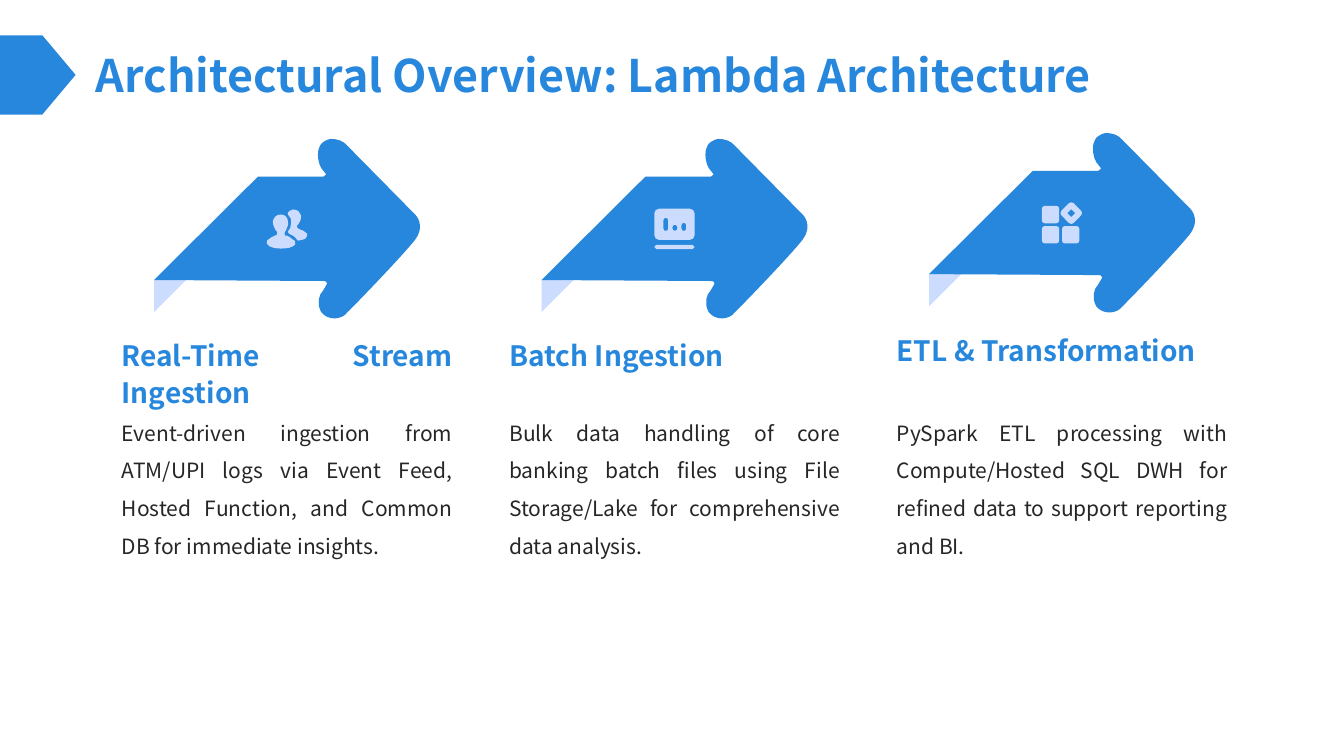
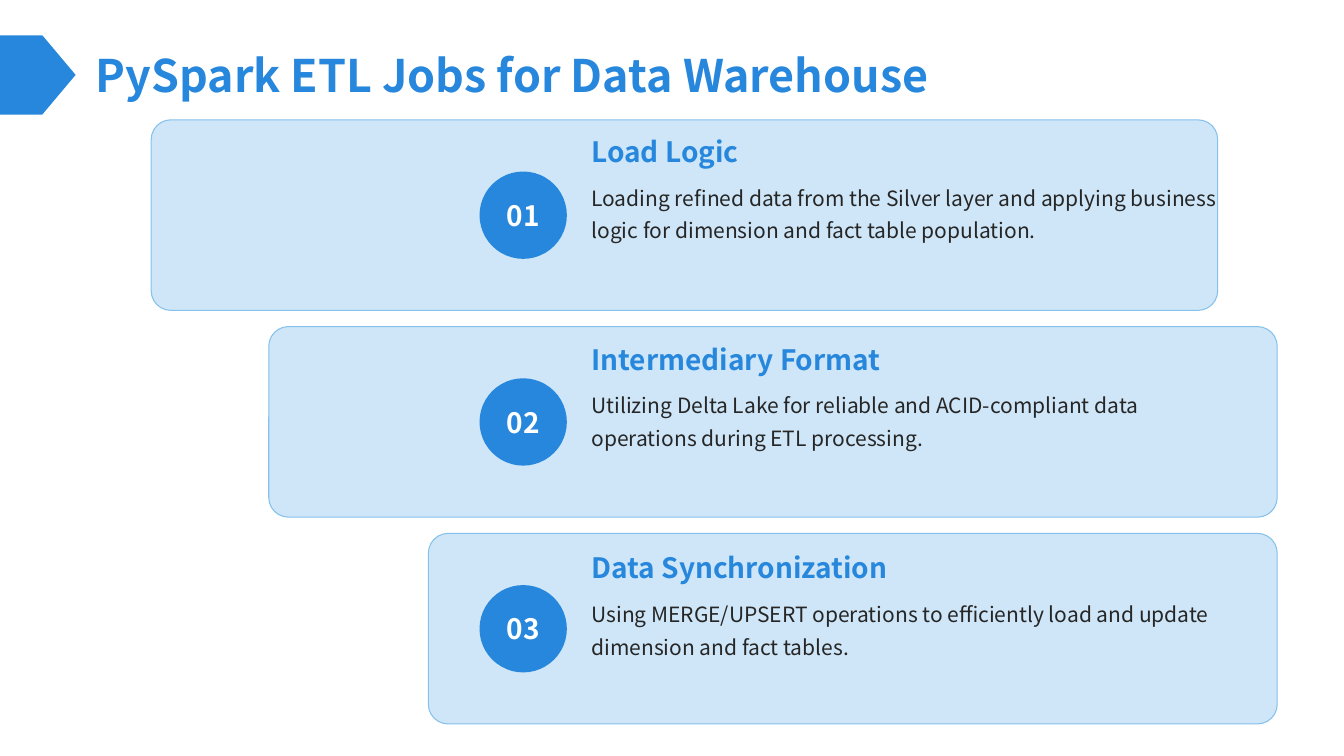
from lxml import etree
from pptx import Presentation
from pptx.dml.color import RGBColor
from pptx.enum import shapes, text
from pptx.oxml import ns
from pptx.util import Pt

FONT = "Noto Sans CJK SC"
BLUE, PALE, INK, WHITE = "2787DC", "CBDCFF", "262626", "FFFFFF"
CARD, CARD_EDGE = "CEE6F7", "85C1EC"
LEFT, CENTER, JUSTIFY = text.PP_ALIGN.LEFT, text.PP_ALIGN.CENTER, text.PP_ALIGN.JUSTIFY
TOP, MIDDLE = text.MSO_ANCHOR.TOP, text.MSO_ANCHOR.MIDDLE
SHAPE = shapes.MSO_SHAPE


def paint(item, color):
    item.fill.solid()
    item.fill.fore_color.rgb = RGBColor.from_string(color)
    if hasattr(item, "shadow"):
        item.shadow.inherit = False
        item.line.fill.background()


def write(box, words, size, color, bold=False, spacing=1.0, align=LEFT, anchor=TOP):
    frame = box.text_frame
    frame.word_wrap = True
    frame.auto_size = text.MSO_AUTO_SIZE.NONE
    frame.vertical_anchor = anchor
    para = frame.paragraphs[0]
    para.text = words
    para.alignment = align
    para.line_spacing = spacing
    para.font.name = FONT
    para.font.size = Pt(size)
    para.font.bold = bold
    paint(para.font, color)


deck = Presentation()
deck.slide_width, deck.slide_height = Pt(960), Pt(540)

pages = []
for heading in ["Architectural Overview: Lambda Architecture", "PySpark ETL Jobs for Data Warehouse"]:
    page = deck.slides.add_slide(deck.slide_layouts[5])
    pages.append(page)
    band = page.shapes.add_shape(SHAPE.PENTAGON, 0, Pt(25.2), Pt(54), Pt(56.6))
    band.adjustments[0] = 0.44
    paint(band, BLUE)
    title = page.shapes.title
    title.left, title.top, title.width, title.height = Pt(61.2), Pt(25), Pt(850.3), Pt(56.6)
    write(title, heading, 32, BLUE, bold=True, anchor=MIDDLE)

overview, jobs = pages

ARROW = [
    (0, 100.8), (74.2, 27), (121, 27),
    (121.7, 27, 122.4, 26.6, 122.4, 25.9), (123.1, 25.9, 123.1, 25.2, 122.4, 24.5),
    (119.5, 20.9), (117.4, 17.3, 116.6, 12.2, 117.4, 7.9),
    (118.1, 5.8, 118.8, 3.6, 121, 2.2), (122.4, 0.7, 124.6, 0.7, 126, 0),
    (131, 0, 135.4, 1.4, 138.2, 5), (186.5, 54), (186.5, 54, 194.4, 61.2, 186.5, 72),
    (179.3, 81.4, 148.3, 113.8, 138.2, 123.8), (136.1, 126.7, 132.5, 128.2, 128.9, 128.2),
    (125.3, 128.2, 121.7, 126.7, 119.5, 123.8), (118.8, 123.1, 118.8, 123.1, 118.8, 122.4),
    (116.6, 117.4, 117.4, 111.6, 121, 108), (123.1, 104.4),
    (123.8, 103.7, 123.8, 103, 123.1, 102.2), (123.1, 102.2, 122.4, 101.5, 121.7, 101.5),
]
FRONT_PERSON = [
    (0, 24.5), (0, 22.3), (0.7, 21.6, 2.2, 20.9, 2.9, 20.2), (3.6, 19.4, 5, 19.4, 5.8, 18.7),
    (6.5, 18.7, 7.2, 18, 7.2, 18), (7.2, 18, 7.9, 16.6, 7.2, 15.8), (6.5, 15.1),
    (5.8, 13.7, 4.3, 11.5, 4.3, 8.6), (5, 5.8, 6.5, 3.6, 10.1, 3.6),
    (13, 3.6, 15.1, 5.8, 15.1, 8.6), (15.8, 10.1, 15.1, 11.5, 14.4, 13),
    (14.4, 13.7, 13.7, 14.4, 13.7, 15.1), (13, 15.8), (12.2, 16.6, 13, 18, 13, 18.7),
    (14.4, 18.7), (15.8, 19.4, 17.3, 20.2, 18.7, 21.6), (19.4, 21.6, 20.2, 22.3, 20.2, 23),
    (20.2, 25.2), (19.4, 26.6, 17.3, 26.6, 15.8, 27.4), (12.2, 28.1, 7.9, 28.1, 5, 27.4),
    (2.9, 26.6, 1.4, 26.6, 0.7, 25.2),
]
BACK_PERSON = [
    (21.6, 21.6), (20.2, 19.4, 18, 18, 15.8, 17.3), (15.1, 16.6, 15.1, 16.6, 15.1, 15.8),
    (16.6, 14.4, 17.3, 12.2, 17.3, 10.1), (18, 7.2, 16.6, 5, 15.1, 3.6), (15.1, 2.2),
    (15.8, 1.4, 17.3, 0, 18.7, 0), (22.3, 0, 23.8, 2.2, 24.5, 4.3),
    (24.5, 7.2, 23.8, 9.4, 22.3, 10.8), (21.6, 11.5), (21.6, 13),
    (22.3, 13.7, 23, 13.7, 23.8, 14.4), (24.5, 14.4, 25.2, 14.4, 25.9, 15.1),
    (26.6, 15.8, 28.1, 16.6, 28.8, 17.3), (28.8, 18, 28.8, 19.4, 28.1, 20.2),
    (27.4, 21.6, 24.5, 21.6, 22.3, 22.3),
]
TILE = [
    (19.4, 0.2), (20.5, -0.6, 21.7, -0.6, 22.7, 0.2), (28.1, 5.8),
    (28.9, 6.7, 28.9, 8, 28.1, 8.9), (22.7, 14.5), (21.7, 15.3, 20.5, 15.3, 19.4, 14.5),
    (13.9, 8.9), (13.1, 8, 13.1, 6.7, 13.9, 5.8),
]
TILE_HOLE = [(21, 4.5), (18.1, 7.4), (21, 10.3), (23.9, 7.4)]

chart_icon, grid_icon = [], [TILE, TILE_HOLE]
rounded_boxes = [
    (chart_icon, 0, 0, 28.8, 22.3, 3.4), (chart_icon, 0, 25.9, 28.8, 2.9, 1.4),
    (chart_icon, 6.5, 6.5, 3.4, 9.4, 1.7), (chart_icon, 13, 11.5, 3.4, 4.3, 1.7),
    (chart_icon, 19.4, 10.1, 3.4, 5.8, 1.7),
    (grid_icon, 0, 2.2, 12.4, 12.4, 2), (grid_icon, 0, 16.6, 12.4, 12.4, 2),
    (grid_icon, 14.4, 16.6, 12.4, 12.4, 2),
]
for icon, x, y, width, height, radius in rounded_boxes:
    right, bottom, bend = x + width, y + height, radius * 0.45
    icon.append([
        (x + radius, y), (right - radius, y),
        (right - bend, y, right, y + bend, right, y + radius), (right, bottom - radius),
        (right, bottom - bend, right - bend, bottom, right - radius, bottom), (x + radius, bottom),
        (x + bend, bottom, x, bottom - bend, x, bottom - radius), (x, y + radius),
        (x, y + bend, x + bend, y, x + radius, y),
    ])

COLUMN_STEP = 276.8
ARROW_LEFT = 110
UNITS = 100
columns = [
    (99.2, 50.4, [BACK_PERSON, FRONT_PERSON]),
    (99.2, 49.9, chart_icon),
    (95, 49.9, grid_icon),
]
for column, (top, icon_drop, icon) in enumerate(columns):
    left = ARROW_LEFT + column * COLUMN_STEP
    fold = overview.shapes.add_shape(SHAPE.RIGHT_TRIANGLE, Pt(left), Pt(top + 100.8), Pt(23), Pt(23))
    fold.rotation = 90
    paint(fold, PALE)
    for contours, x, y, color in [([ARROW], left, top, BLUE), (icon, left + 80.6, top + icon_drop, PALE)]:
        scaled = [[[round(value * UNITS) for value in segment] for segment in contour] for contour in contours]
        builder = overview.shapes.build_freeform(*scaled[0][0], scale=Pt(1) / UNITS)
        for number, contour in enumerate(scaled):
            if number:
                builder.move_to(*contour[0])
            builder.add_line_segments([segment[-2:] for segment in contour[1:]], close=True)
        form = builder.convert_to_shape(Pt(x), Pt(y))
        paint(form, color)

        segments = [segment for contour in scaled for segment in contour]
        min_x = min(segment[-2] for segment in segments)
        min_y = min(segment[-1] for segment in segments)
        outline = form._element.find(".//" + ns.qn("a:path"))
        strokes = [node for node in outline if node.tag != ns.qn("a:close")]
        strokes = [node for node in strokes if node.tag in (ns.qn("a:moveTo"), ns.qn("a:lnTo"))]
        for node, segment in zip(strokes, segments):
            if len(segment) == 6:
                curve = etree.Element(ns.qn("a:cubicBezTo"))
                for px, py in zip(segment[::2], segment[1::2]):
                    etree.SubElement(curve, ns.qn("a:pt"), x=str(px - min_x), y=str(py - min_y))
                outline.replace(node, curve)

stages = [
    ("Real-Time Stream Ingestion", JUSTIFY, 1.1,
     "Event-driven ingestion from ATM/UPI logs via Event Feed, Hosted Function, and Common DB "
     "for immediate insights."),
    ("Batch Ingestion", LEFT, 1.1,
     "Bulk data handling of core banking batch files using File Storage/Lake for comprehensive "
     "data analysis."),
    ("ETL & Transformation", JUSTIFY, 0.99,
     "PySpark ETL processing with Compute/Hosted SQL DWH for refined data to support reporting "
     "and BI."),
]
for column, (heading, align, spacing, detail) in enumerate(stages):
    left = Pt(79.9 + column * COLUMN_STEP)
    box = overview.shapes.add_textbox(left, Pt(235.6), Pt(250.4), Pt(59))
    write(box, heading, 20, BLUE, bold=True, spacing=spacing, align=align)
    box = overview.shapes.add_textbox(left, Pt(287.6), Pt(250.4), Pt(218.2))
    write(box, detail, 15, INK, spacing=1.5, align=JUSTIFY)

steps = [
    (108, 869.8, 86.1, 123.4, "Load Logic",
     "Loading refined data from the Silver layer and applying business logic for dimension and "
     "fact table population."),
    (192, 912.3, 234.3, 271.4, "Intermediary Format",
     "Utilizing Delta Lake for reliable and ACID-compliant data operations during ETL processing."),
    (306, 912.3, 383, 421, "Data Synchronization",
     "Using MERGE/UPSERT operations to efficiently load and update dimension and fact tables."),
]
for row, (left, right, heading_top, detail_top, heading, detail) in enumerate(steps):
    card_top = 85.6 + row * 147.7
    card = jobs.shapes.add_shape(SHAPE.ROUNDED_RECTANGLE, Pt(left), Pt(card_top), Pt(right - left), Pt(136.1))
    card.adjustments[0] = 0.103
    paint(card, CARD)
    paint(card.line, CARD_EDGE)
    card.line.width = Pt(0.75)

    badge = jobs.shapes.add_shape(SHAPE.OVAL, Pt(342.5), Pt(card_top + 36.9), Pt(62.4), Pt(62.4))
    paint(badge, BLUE)
    write(badge, f"{row + 1:02}", 20, WHITE, bold=True, align=CENTER, anchor=MIDDLE)
    frame = badge.text_frame
    frame.word_wrap = False
    frame.margin_left = frame.margin_right = frame.margin_top = frame.margin_bottom = 0

    box = jobs.shapes.add_textbox(Pt(415.4), Pt(detail_top), Pt(481.7), Pt(97.9))
    write(box, detail, 15, INK, spacing=1.3)
    box = jobs.shapes.add_textbox(Pt(415.4), Pt(heading_top), Pt(481.7), Pt(47.5))
    write(box, heading, 20, BLUE, bold=True, spacing=0.9, anchor=MIDDLE)

deck.save("out.pptx")
